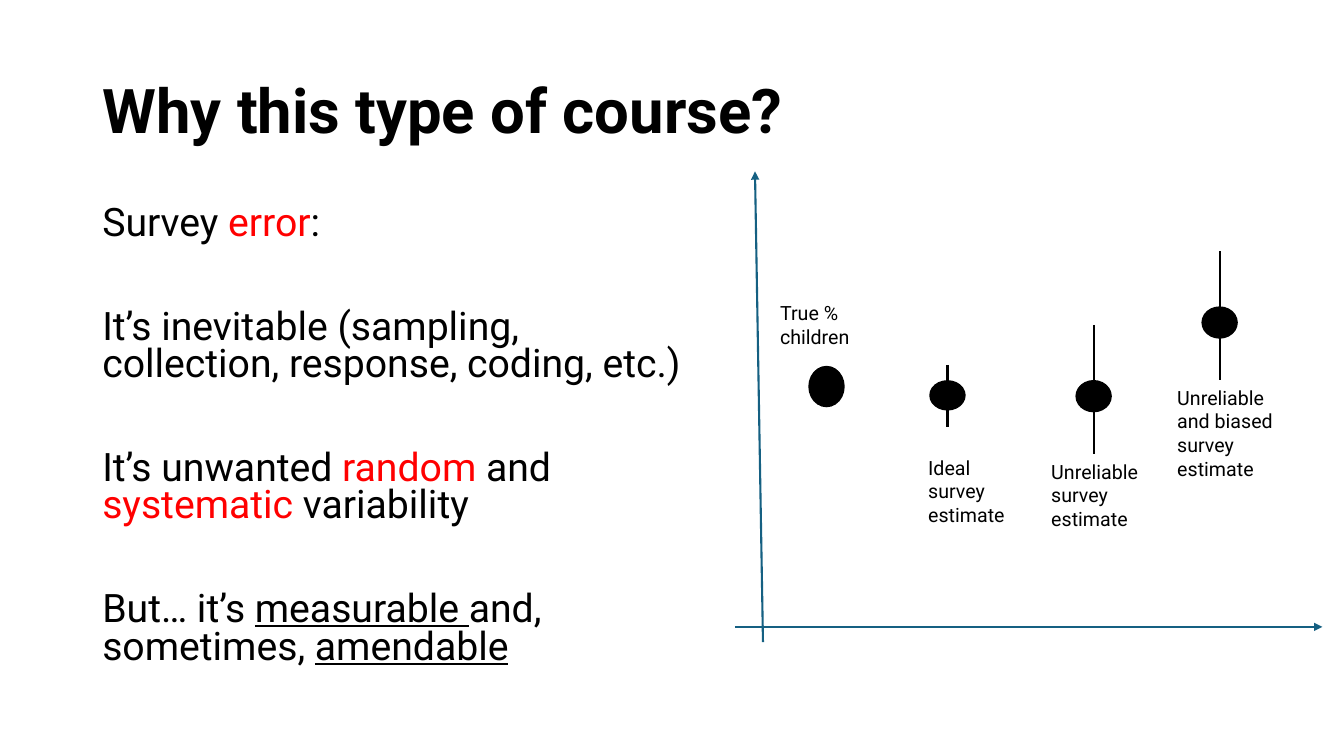
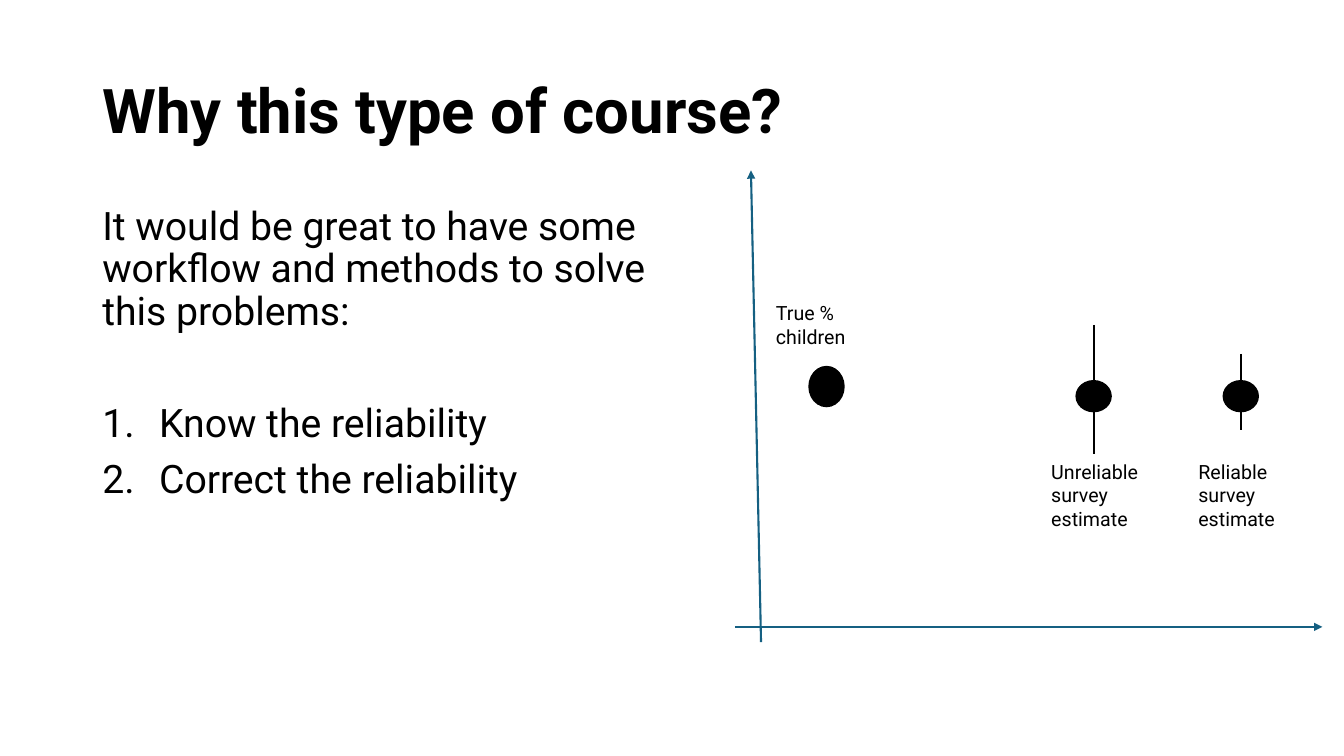
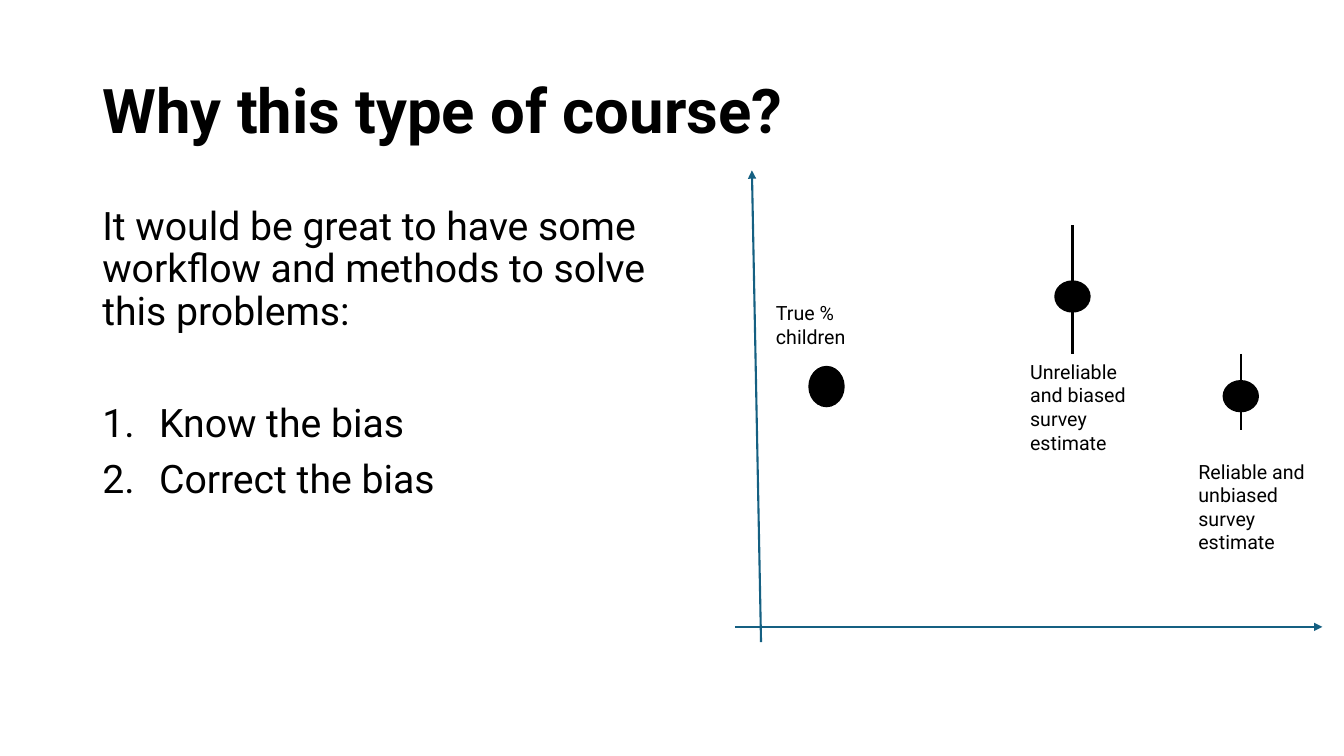
"""Build three slides on survey error, reliability and bias."""
from dataclasses import dataclass

from lxml.etree import SubElement
from pptx import Presentation
from pptx.dml.color import RGBColor
from pptx.enum.shapes import MSO_CONNECTOR, MSO_SHAPE
from pptx.enum.text import MSO_ANCHOR, MSO_AUTO_SIZE, PP_ALIGN
from pptx.oxml.ns import qn
from pptx.util import Pt

BLACK = RGBColor(0x00, 0x00, 0x00)
RED = RGBColor(0xFF, 0x00, 0x00)
BLUE = RGBColor(0x15, 0x60, 0x82)
FONT = "Roboto"
TITLE = "Why this type of course?"
LINE_WIDTH = 1.5
DOT_WIDTH = 24.5
LIST_INDENT = 40.5
PARAGRAPH_GAP = 10


@dataclass(frozen=True)
class Estimate:
    """A survey estimate: dot, error whisker and label."""
    label: str
    x: float
    y: float
    above: float = 51
    below: float = 41
    label_drop: float = 41.7
    label_shift: float = 37.4
    label_width: float = 99.4
    dot_height: float = 21.6


IDEAL = Estimate("Ideal survey estimate", 676.8, 282.4, 21.8, 22.9, 39.4, 20.9, 85.7, 20.2)
UNRELIABLE = Estimate("Unreliable survey estimate", 781.2, 283)
BIASED = Estimate("Unreliable and biased survey estimate", 871.2, 230.4)
BIASED_BEFORE = Estimate("Unreliable and biased survey estimate", 766.1, 211.8)
RELIABLE = Estimate("Reliable survey estimate", 886.3, 283, 30.3, 24.4)
UNBIASED = Estimate("Reliable and unbiased survey estimate", 886.3, 283, 30.3, 24.4)

ERROR_POINTS = [
    [("Survey ", None), ("error", RED), (":", None)],
    [("It’s inevitable (sampling, collection, response, coding, etc.)", None)],
    [("It’s unwanted ", None), ("random", RED), (" and ", None),
     ("systematic", RED), (" variability", None)],
    [("But… it’s ", None), ("measurable ", "underline"), ("and, sometimes, ", None),
     ("amendable", "underline")],
]
WORKFLOW = "It would be great to have some workflow and methods to solve this problems:"


def style_run(run, size, color=BLACK, bold=False):
    """Apply the deck font to a run."""
    run.font.name = FONT
    run.font.size = Pt(size)
    run.font.bold = bold
    run.font.color.rgb = color


def add_titled_slide(deck):
    """Add a slide with the shared title."""
    slide = deck.slides.add_slide(deck.slide_layouts[5])
    title = slide.shapes.title
    title.left, title.top, title.width, title.height = Pt(66), Pt(28.8), Pt(828), Pt(104.4)
    frame = title.text_frame
    frame.text = TITLE
    frame.auto_size = MSO_AUTO_SIZE.NONE
    frame.vertical_anchor = MSO_ANCHOR.MIDDLE
    heading = frame.paragraphs[0]
    heading.alignment = PP_ALIGN.LEFT
    heading.line_spacing = 0.9
    style_run(heading.runs[0], 44, bold=True)
    return slide


def add_text_frame(slide, left, top, width, height):
    """Add a wrapping text box and return its frame."""
    frame = slide.shapes.add_textbox(Pt(left), Pt(top), Pt(width), Pt(height)).text_frame
    frame.word_wrap = True
    return frame


def add_body(slide):
    """Add the text column on the left."""
    return add_text_frame(slide, 66, 144, 428.4, 342.7)


def add_body_paragraph(frame, parts, line_spacing, space_before):
    """Write one body paragraph from (text, emphasis) parts."""
    first = frame.paragraphs[0]
    paragraph = frame.add_paragraph() if first.runs else first
    paragraph.line_spacing = line_spacing
    paragraph.space_before = Pt(space_before)
    for text, emphasis in parts:
        run = paragraph.add_run()
        run.text = text
        style_run(run, 28, RED if emphasis == RED else BLACK)
        run.font.underline = emphasis == "underline"
    return paragraph


def number_paragraph(paragraph):
    """Turn a paragraph into a numbered list item."""
    properties = paragraph._p.get_or_add_pPr()
    properties.set("marL", str(Pt(LIST_INDENT)))
    properties.set("indent", str(-Pt(LIST_INDENT)))
    SubElement(properties, qn("a:buFont"), typeface="+mj-lt")
    SubElement(properties, qn("a:buAutoNum"), type="arabicPeriod")


def add_error_points(slide):
    """List the traits of survey error."""
    frame = add_body(slide)
    for index, parts in enumerate(ERROR_POINTS):
        add_body_paragraph(frame, parts, 0.8, 47 if index else PARAGRAPH_GAP)


def add_workflow(slide, target):
    """Introduce the workflow and number its two steps."""
    frame = add_body(slide)
    add_body_paragraph(frame, [(WORKFLOW, None)], 0.9, PARAGRAPH_GAP)
    for verb, gap in (("Know", 50), ("Correct", PARAGRAPH_GAP)):
        step = add_body_paragraph(frame, [(f"{verb} the {target}", None)], 0.9, gap)
        number_paragraph(step)


def add_line(shapes, start, end, color, arrow=False):
    """Draw a straight line, optionally with an arrowhead at its end."""
    line = shapes.add_connector(
        MSO_CONNECTOR.STRAIGHT, *(Pt(value) for value in (*start, *end)))
    line.line.color.rgb = color
    line.line.width = Pt(LINE_WIDTH)
    if arrow:
        SubElement(line.line._get_or_add_ln(), qn("a:tailEnd"), type="triangle")
    SubElement(line._element.spPr, qn("a:effectLst"))


def add_dot(shapes, x, y, height):
    """Draw a black dot centred on a point."""
    dot = shapes.add_shape(MSO_SHAPE.OVAL, Pt(x - DOT_WIDTH / 2), Pt(y - height / 2),
                           Pt(DOT_WIDTH), Pt(height))
    dot.shadow.inherit = False
    dot.fill.solid()
    dot.fill.fore_color.rgb = BLACK
    dot.line.color.rgb = BLACK
    dot.line.width = Pt(LINE_WIDTH)


def add_label(slide, text, left, top, width, height):
    """Write a small chart label."""
    frame = add_text_frame(slide, left, top, width, height)
    frame.text = text
    style_run(frame.paragraphs[0].runs[0], 14)


def add_estimate(slide, estimate):
    """Draw an estimate with its whisker and label."""
    x, y = estimate.x, estimate.y
    marker = slide.shapes.add_group_shape().shapes
    add_dot(marker, x, y, estimate.dot_height)
    add_line(marker, (x, y - estimate.above), (x, y + estimate.below), BLACK)
    add_label(slide, estimate.label, x - estimate.label_shift, y + estimate.label_drop,
              estimate.label_width, 75 if "and" in estimate.label else 58)


def add_diagram(slide, axis_foot, axis_top, truth_left, estimates):
    """Draw the axes, the true value and the estimates."""
    add_line(slide.shapes, (axis_foot, 458.6), axis_top, BLUE, arrow=True)
    add_line(slide.shapes, (524.9, 447.8), (944.6, 447.8), BLUE, arrow=True)
    add_dot(slide.shapes, 590.4, 276.1, 28.1)
    add_label(slide, "True % children", truth_left, 211.7, 85.7, 41)
    for estimate in estimates:
        add_estimate(slide, estimate)


def main():
    """Build and save the deck."""
    deck = Presentation()
    deck.slide_width, deck.slide_height = Pt(960), Pt(540)

    error = add_titled_slide(deck)
    add_error_points(error)
    add_diagram(error, 545, (539.3, 122.4), 550.1, [IDEAL, UNRELIABLE, BIASED])

    reliability = add_titled_slide(deck)
    add_workflow(reliability, "reliability")
    add_diagram(reliability, 543.6, (536.4, 121.7), 547.2, [UNRELIABLE, RELIABLE])

    bias = add_titled_slide(deck)
    add_workflow(bias, "bias")
    add_diagram(bias, 543.6, (537.1, 121.7), 547.2, [BIASED_BEFORE, UNBIASED])

    deck.save("out.pptx")


if __name__ == "__main__":
    main()
